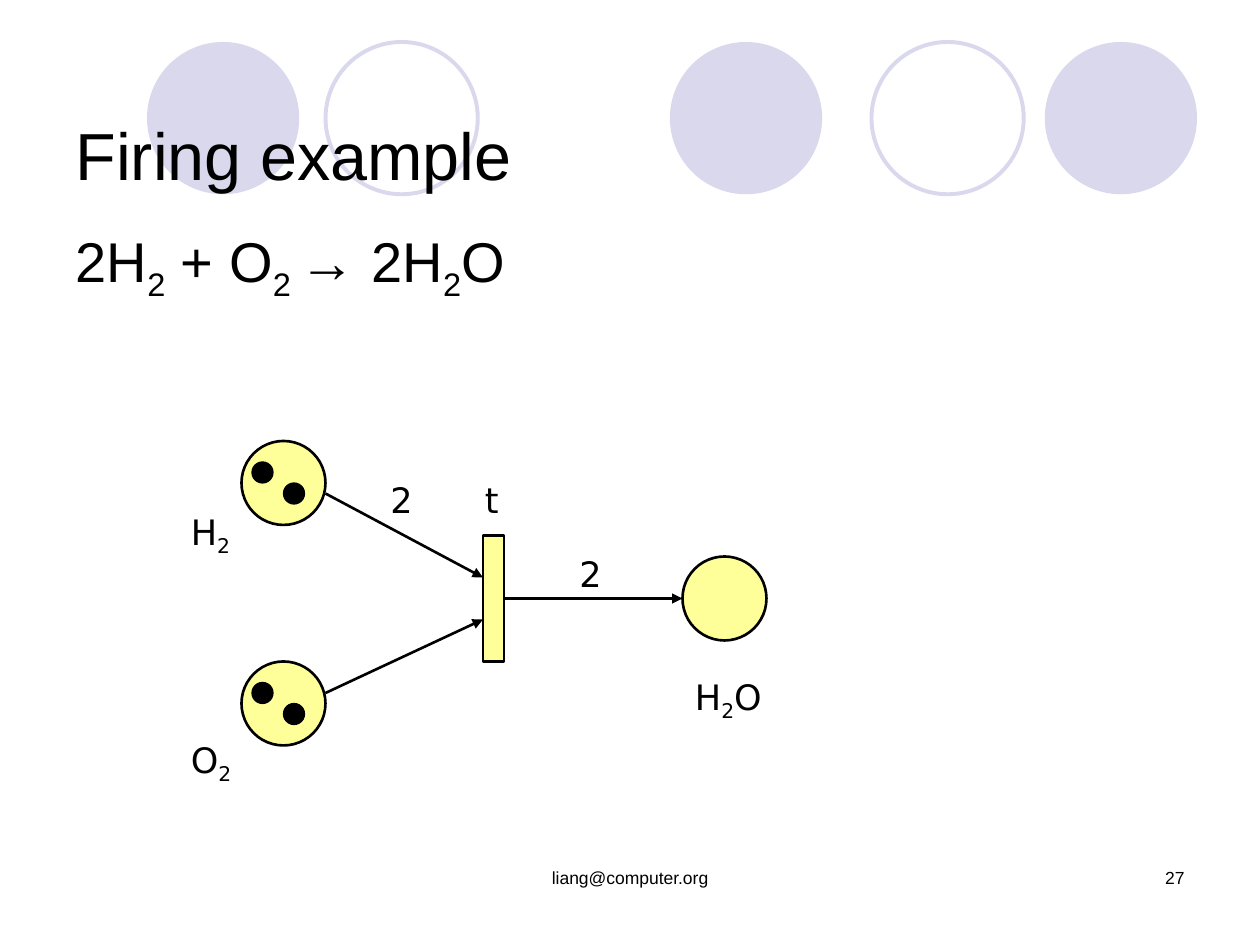
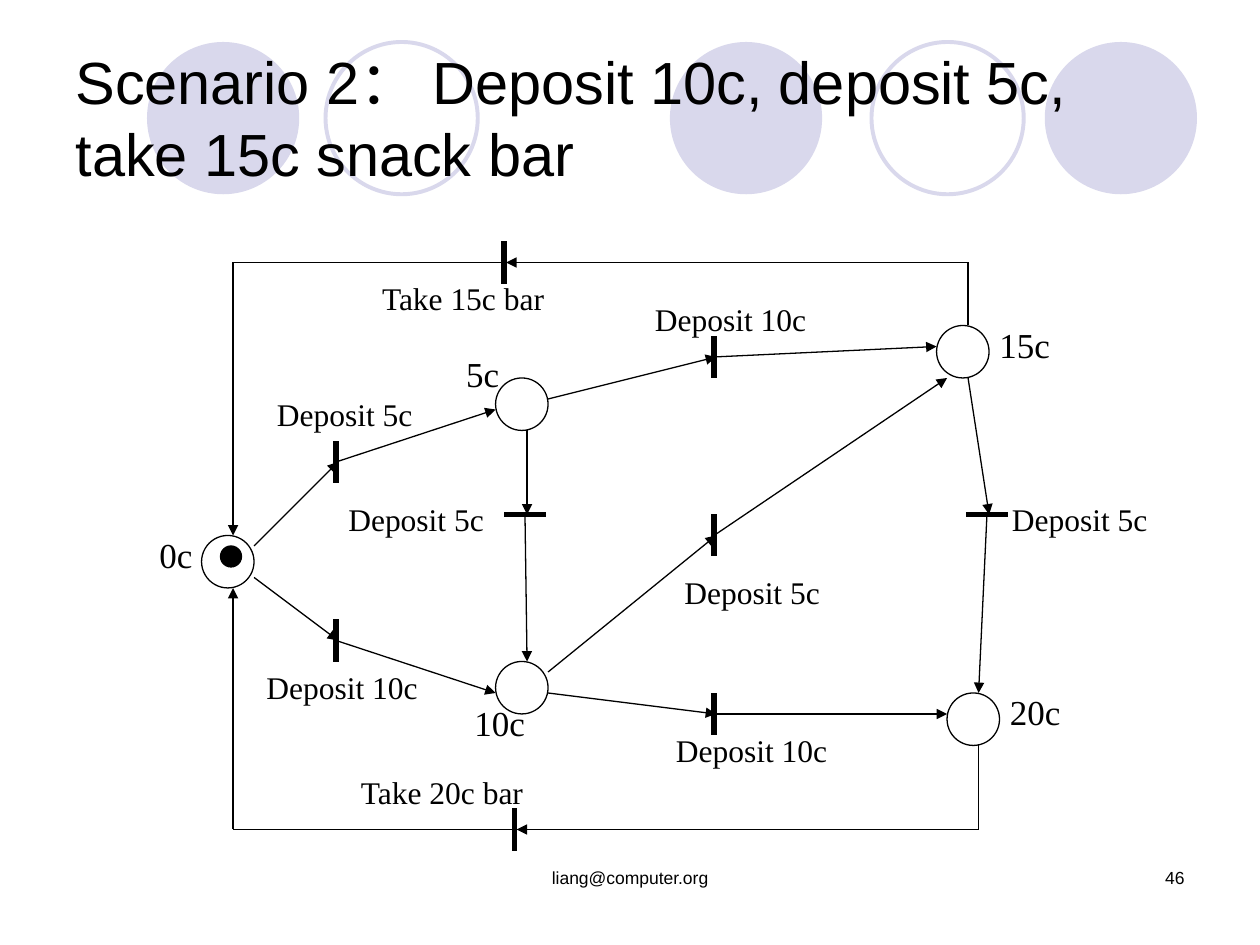
from dataclasses import dataclass
from itertools import pairwise
from typing import Any

from lxml import etree
from pptx import Presentation
from pptx import util as u
from pptx.dml.color import RGBColor
from pptx.enum import shapes, text
from pptx.oxml import ns

COLS, ROWS = 120, 90
BLACK, LILAC, YELLOW = "000000", "D9D8EC", "FFFF99"
SANS, SERIF, NET_FONT = "Arial", "Times New Roman", "DejaVu Sans"
LEFT, CENTER, RIGHT = text.PP_ALIGN.LEFT, text.PP_ALIGN.CENTER, text.PP_ALIGN.RIGHT
TOP, MIDDLE = text.MSO_ANCHOR.TOP, text.MSO_ANCHOR.MIDDLE
OVAL, RECT = shapes.MSO_SHAPE.OVAL, shapes.MSO_SHAPE.RECTANGLE


@dataclass
class Grid:
    """A region of a slide whose origin is given in columns and rows."""
    slide: Any
    left: float = 0
    top: float = 0
    cell: int = u.Inches(10) // COLS

    def point(self, x, y):
        """Turn a column and row of the region into slide lengths."""
        return round((self.left + x) * self.cell), round((self.top + y) * self.cell)

    def box(self, x, y, w, h):
        """Turn a box of the region into slide lengths."""
        return *self.point(x, y), round(w * self.cell), round(h * self.cell)


def set_format(target, **values):
    """Set each named attribute of the target."""
    for name, value in values.items():
        setattr(target, name, value)


def color(fmt, value):
    """Give a fill or font colour format a hex colour."""
    fmt.rgb = RGBColor.from_string(value)


def paint(sp, fill, line, points):
    """Set fill and outline, leaving out whichever is None."""
    sp.shadow.inherit = False
    for part, value in ((sp.fill, fill), (sp.line.fill, line)):
        if value:
            part.solid()
            color(part.fore_color, value)
        else:
            part.background()
    if line:
        sp.line.width = u.Pt(points)


def add_shape(grid, kind, box, fill=None, line=BLACK, points=0.75):
    """Add a preset shape on the grid."""
    sp = grid.slide.shapes.add_shape(kind, *grid.box(*box))
    paint(sp, fill, line, points)
    return sp


def add_line(grid, start, end, points=0.75, arrow=False):
    """Add a straight black line, with an arrowhead at its end if asked."""
    line = grid.slide.shapes.add_connector(
        shapes.MSO_CONNECTOR.STRAIGHT, *grid.point(*start), *grid.point(*end))
    line.line.width = u.Pt(points)
    color(line.line.color, BLACK)
    sp_pr = line._element.spPr
    if arrow:
        tail = etree.SubElement(line.line._get_or_add_ln(), ns.qn("a:tailEnd"))
        tail.set("type", "triangle")
    etree.SubElement(sp_pr, ns.qn("a:effectLst"))
    return line


def write(sp, words, size, font, align=LEFT, anchor=TOP):
    """Write one paragraph, with subscripts between tildes."""
    tf = sp.text_frame
    set_format(tf, word_wrap=True, auto_size=text.MSO_AUTO_SIZE.NONE,
               vertical_anchor=anchor)
    p = tf.paragraphs[0]
    set_format(p, alignment=align, space_before=u.Pt(0))
    for i, part in enumerate(words.split("~")):
        if part:
            r = p.add_run()
            r.text = part
            set_format(r.font, size=u.Pt(size), name=font)
            color(r.font.color, BLACK)
            if i % 2:
                r._r.get_or_add_rPr().set("baseline", "-25000")
    return p


def add_text(grid, box, words, size, font, align=LEFT):
    """Add a text box on the grid."""
    sp = grid.slide.shapes.add_textbox(*grid.box(*box))
    write(sp, words, size, font, align)


def place_holder(grid, sp, box):
    """Move a placeholder to a grid box, in front of what is drawn."""
    set_format(sp, **dict(zip(("left", "top", "width", "height"), grid.box(*box))))
    grid.slide.shapes._spTree.append(sp._element)


def add_slide(prs, layout, title, title_rows, size, number):
    """Add a slide with the circle band, footer and title."""
    slide = prs.slides.add_slide(prs.slide_layouts[layout])
    grid = Grid(slide)
    for x, filled in ((63.8, True), (99.5, True), (14, True), (83, False), (31, False)):
        add_shape(grid, OVAL, (x, 4, 14.5, 14.5), LILAC if filled else None,
                  None if filled else LILAC, 2.25)
    add_text(grid, (41, 82, 38, 6), "liang@computer.org", 10, SANS, CENTER)
    add_text(grid, (86, 82, 28, 6), number, 10, SANS, RIGHT)
    top, height = title_rows
    place_holder(grid, slide.shapes.title, (6, top, 108, height))
    write(slide.shapes.title, title, size, SANS, anchor=MIDDLE)
    return slide


def add_formula(grid, box, words):
    """Fill the body placeholder with an unbulleted formula."""
    body = grid.slide.placeholders[1]
    place_holder(grid, body, box)
    p = write(body, words, 32, SANS)
    p_pr = p._p.get_or_add_pPr()
    set_format(p_pr, marL=u.Inches(0.38), indent=-u.Inches(0.38))
    etree.SubElement(p_pr, ns.qn("a:buNone"))


def add_reaction_net(grid):
    """Draw the net that turns hydrogen and oxygen into water."""
    for x, y, has_tokens in ((6, 0, True), (6, 21, True), (48, 11, False)):
        add_shape(grid, OVAL, (x, y, 8, 8), YELLOW, points=1.5)
        for dx, dy in ((1, 2), (4, 4)) if has_tokens else ():
            add_shape(grid, OVAL, (x + dx, y + dy, 2, 2), BLACK)
    bar = add_shape(grid, RECT, (29, 9, 2, 12), YELLOW, points=1.5)
    for start, end in (((14, 5), (29, 13)), ((14, 24), (29, 17))):
        add_line(grid, start, end, 1.5, True)
    add_line(grid, (31, 15), (48, 15), 1.5, True).begin_connect(bar, 3)
    for x, y, w, words in ((0, 6, 6.3, "H~2~"), (0, 27.7, 6.5, "O~2~"),
                           (48, 21.7, 9, "H~2~O"), (28, 3, 6.3, "t"),
                           (37, 10, 6.3, "2"), (19, 3, 6.3, "2")):
        add_text(grid, (x, y, w, 5.5), words, 20, NET_FONT)


def add_route(grid, points):
    """Join points by lines, the last one ending in an arrowhead."""
    legs = list(pairwise(points))
    for i, (start, end) in enumerate(legs, 1):
        add_line(grid, start, end, arrow=i == len(legs))


def add_transition(grid, centre, before, after, words, label, flat=False):
    """Draw a bar, its label, and the routes into and out of it."""
    x, y = centre
    add_route(grid, [*before, (x + 0.2, y)])
    add_route(grid, [centre, *after])
    dx, dy = (2, 0) if flat else (0, 2)
    add_line(grid, (x - dx, y - dy), (x + dx, y + dy), 3)
    add_text(grid, (*label, 2.5 + 1.33 * len(words), 4.8), words, 18, SERIF)


def add_vending_net(grid):
    """Draw the vending machine's states and the coins between them."""
    for words, x, y, label in (("0c", 5.2, 28, (0, 27.2)), ("5c", 33.2, 13, (29.2, 10)),
                               ("10c", 33.2, 40, (30, 43.2)),
                               ("15c", 75.2, 8, (80, 7.2)), ("20c", 76.2, 43, (81, 42.2))):
        add_shape(grid, OVAL, (x, y, 5, 5))
        add_text(grid, (*label, 2.5 + 1.7 * len(words), 5.3), words, 20, SERIF)
    add_shape(grid, OVAL, (7, 29, 2, 2), BLACK)
    five, ten = "Deposit 5c", "Deposit 10c"
    for transition in (
        ((18, 21), [(10.2, 29)], [(33.2, 16)], five, (11.2, 14)),
        ((18, 38), [(10.2, 32)], [(33.2, 43)], ten, (10.2, 40)),
        ((54, 11), [(38.2, 15)], [(75.2, 10)], ten, (47.2, 5)),
        ((54, 28), [(38.2, 41)], [(76.2, 13)], five, (50, 31)),
        ((54, 45), [(38.2, 43)], [(76.2, 45)], ten, (49.2, 46)),
        ((36, 26), [(36.2, 18)], [(36.2, 40)], five, (18, 24), True),
        ((80, 26), [(78.2, 13)], [(79.2, 43)], five, (81.2, 24), True),
        ((34, 2), [(78.2, 8), (78.2, 2)], [(8.2, 2), (8.2, 28)], "Take 15c bar", (21.2, 3)),
        ((35, 56), [(79.2, 48), (79.2, 56)], [(8.2, 56), (8.2, 33)],
         "Take 20c bar", (19.2, 50)),
    ):
        add_transition(grid, *transition)


def main():
    """Build and save both slides."""
    prs = Presentation()
    set_format(prs, slide_width=u.Inches(10), slide_height=u.Inches(7.5))
    firing = add_slide(prs, 1, "Firing example", (10.7, 7.9), 38, "27")
    add_formula(Grid(firing), (6, 21, 108, 59.4), "2H~2~ + O~2 ~→ 2H~2~O")
    add_reaction_net(Grid(firing, 17, 42))
    scenario = add_slide(prs, 5, "Scenario 2： Deposit 10c, deposit 5c, take 15c snack bar",
                         (3.6, 15), 34, "46")
    add_vending_net(Grid(scenario, 14, 23))
    prs.save("out.pptx")


if __name__ == "__main__":
    main()
